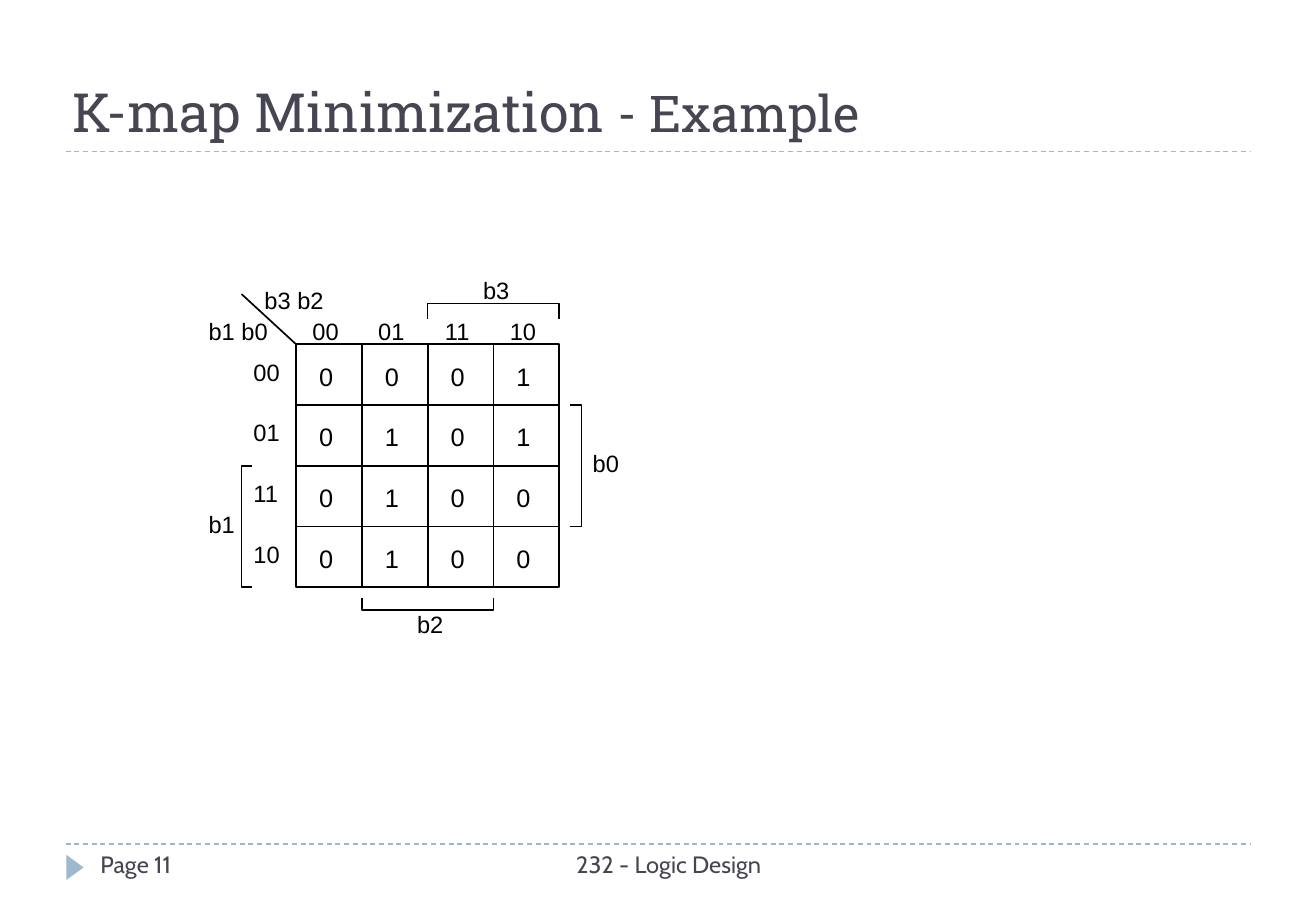
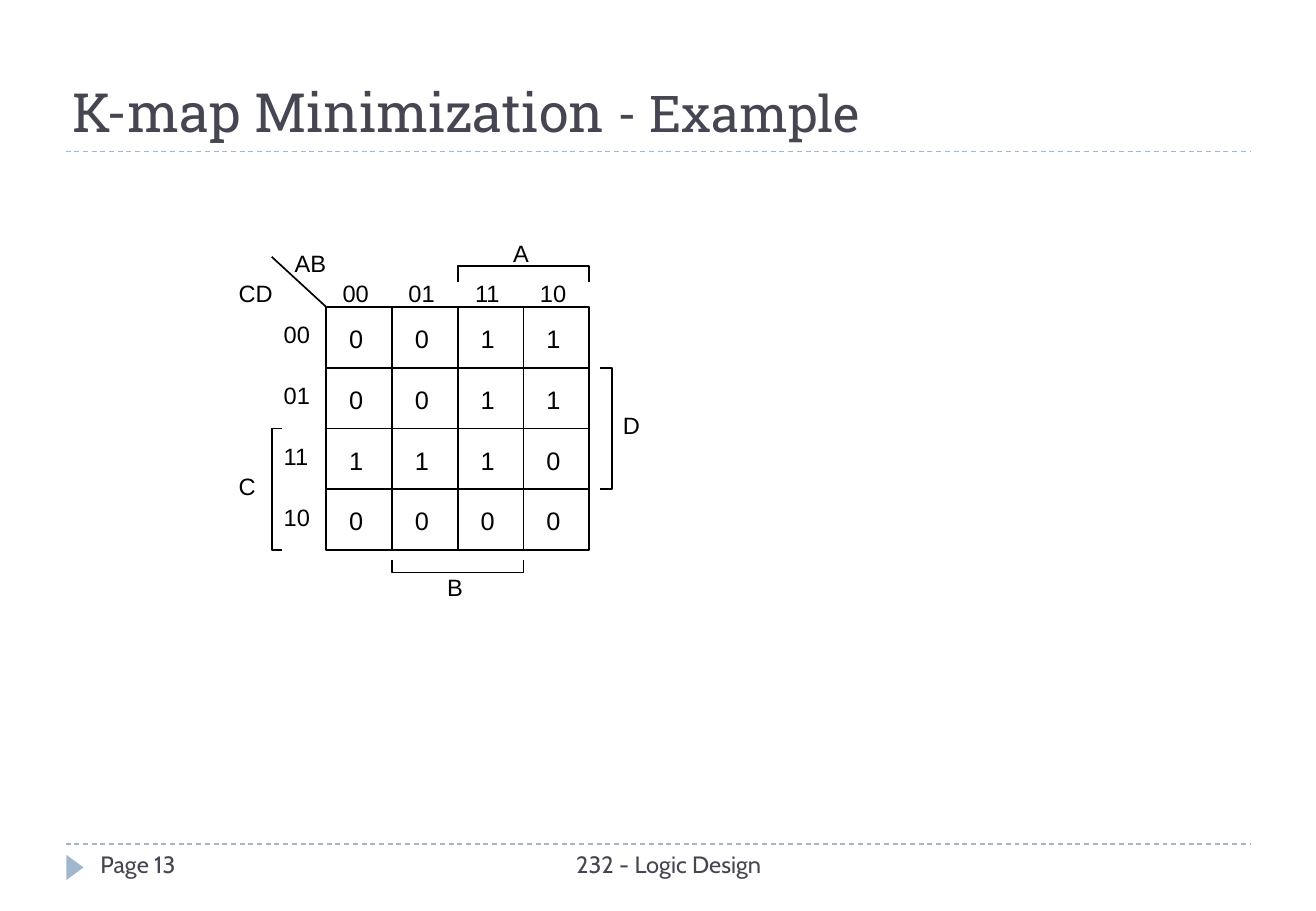
from dataclasses import dataclass
from lxml import etree
from pptx import Presentation
from pptx import util as u
from pptx.dml.color import RGBColor
from pptx.enum import dml, shapes, text
from pptx.oxml.ns import qn


@dataclass(frozen=True)
class Theme:
    ink: str = "000000"
    heading: str = "464653"
    accent: str = "9FB8CD"
    title_font: str = "Roboto Slab"
    footer_font: str = "Cabin"
    map_font: str = "Arial"
    title_size: float = 32
    subtitle_size: float = 30
    label_size: float = 14
    value_size: float = 15
    map_line: float = 1
    rule_line: float = 0.75


@dataclass(frozen=True)
class KMap:
    page_number: int
    left: float
    top: float
    column_variables: str
    row_variables: str
    corner_widths: tuple
    top_name: str
    left_name: str
    bottom_name: str
    right_name: str
    name_width: float
    rows: tuple


THEME = Theme()
PAGE_WIDTH, PAGE_HEIGHT = 27.51, 19.05
RULE_LEFT, RULE_RIGHT = 1.37, 26.14
COUNT = 4
CELL_WIDTH, CELL_HEIGHT = 1.375, 1.27
GRID_WIDTH, GRID_HEIGHT = COUNT * CELL_WIDTH, COUNT * CELL_HEIGHT
LABEL_HEIGHT, VALUE_HEIGHT = 0.81, 0.92
BRACKET_GAP, BRACKET_DEPTH = 0.22, 0.25
CODES = ("00", "01", "11", "10")
CENTER = text.PP_ALIGN.CENTER

MAPS = (
    KMap(11, 6.19, 7.2, "b3 b2", "b1 b0", (1.78, 1.78),
         "b3", "b1", "b2", "b0", 1.09, ("0001", "0101", "0100", "0100")),
    KMap(13, 6.82, 6.42, "AB", "CD", (1.2, 1.25),
         "A", "C", "B", "D", 0.87, ("0011", "0011", "1110", "0000")),
)


def lengths(*values):
    return [u.Cm(value) for value in values]


def color(code):
    return RGBColor.from_string(code)


def style_line(line, code, width):
    line.color.rgb = color(code)
    line.width = u.Pt(width)


def add_text(page, box, spans, font, code, align=None, spacing=None, anchor=None):
    shape = page.shapes.add_textbox(*lengths(*box))
    frame = shape.text_frame
    frame.word_wrap = True
    frame.vertical_anchor = anchor
    para = frame.paragraphs[0]
    para.alignment = align
    para.line_spacing = spacing
    for words, size in spans:
        span = para.add_run()
        span.text = words
        span.font.name = font
        span.font.size = u.Pt(size)
        span.font.color.rgb = color(code)


def add_line(page, start, end, code=THEME.ink, width=THEME.map_line):
    line = page.shapes.add_connector(
        shapes.MSO_CONNECTOR.STRAIGHT, *lengths(*start, *end))
    style_line(line.line, code, width)
    etree.SubElement(line._element.spPr, qn("a:effectLst"))
    return line


def add_bracket(page, points):
    start, *others = [tuple(lengths(*point)) for point in points]
    builder = page.shapes.build_freeform(*start)
    builder.add_line_segments(others, close=False)
    bracket = builder.convert_to_shape()
    bracket.shadow.inherit = False
    bracket.fill.background()
    style_line(bracket.line, THEME.ink, THEME.map_line)


def add_label(page, box, words, align=None):
    add_text(page, box, [(words, THEME.label_size)], THEME.map_font,
             THEME.ink, align, spacing=0.9)


def draw_frame(page, number):
    for y in (3.17, 17.65):
        rule = add_line(page, (RULE_LEFT, y), (RULE_RIGHT, y),
                        THEME.accent, THEME.rule_line)
        rule.line.dash_style = dml.MSO_LINE.DASH
    marker = page.shapes.add_shape(
        shapes.MSO_SHAPE.ISOSCELES_TRIANGLE, *lengths(1.3, 17.96, 0.53, 0.36))
    marker.rotation = 90
    marker.shadow.inherit = False
    marker.fill.solid()
    marker.fill.fore_color.rgb = color(THEME.accent)
    marker.line.fill.background()
    for words, left, width, align in (
            ("232 - Logic Design", 8.71, 10.54, CENTER),
            (f"Page {number}", 1.85, 5.97, None)):
        add_text(page, (left, 17.65, width, 1.02), [(words, THEME.label_size)],
                 THEME.footer_font, THEME.heading, align)
    add_text(page, (1.27, 0.64, 24.43, 2.49),
             [("K-map Minimization", THEME.title_size),
              (" - Example", THEME.subtitle_size)],
             THEME.title_font, THEME.heading, anchor=text.MSO_ANCHOR.BOTTOM)


def draw_grid(page, left, top, rows):
    grid = page.shapes.add_shape(
        shapes.MSO_SHAPE.RECTANGLE, *lengths(left, top, GRID_WIDTH, GRID_HEIGHT))
    grid.shadow.inherit = False
    grid.fill.background()
    style_line(grid.line, THEME.ink, THEME.map_line)
    for index in range(1, COUNT):
        x, y = left + index * CELL_WIDTH, top + index * CELL_HEIGHT
        across = add_line(page, (left, y), (left + GRID_WIDTH, y))
        down = add_line(page, (x, top), (x, top + GRID_HEIGHT))
        if index * 2 == COUNT:
            across.begin_connect(grid, 1)
            across.end_connect(grid, 3)
            down.begin_connect(grid, 0)
            down.end_connect(grid, 2)
    for row, values in enumerate(rows):
        for column, value in enumerate(values):
            box = (left + column * CELL_WIDTH + 0.23,
                   top + row * CELL_HEIGHT + 0.22, 0.84, VALUE_HEIGHT)
            add_text(page, box, [(value, THEME.value_size)],
                     THEME.map_font, THEME.ink)


def draw_headers(page, left, top, kmap):
    add_line(page, (left, top), (left - 1.14, top - 1.05))
    column_width, row_width = kmap.corner_widths
    add_label(page, (left - 0.91, top - 1.27, column_width, LABEL_HEIGHT),
              kmap.column_variables)
    add_label(page, (left - 2.08, top - 0.64, row_width, LABEL_HEIGHT),
              kmap.row_variables)
    for index, code in enumerate(CODES):
        add_label(page, (left + index * CELL_WIDTH - 0.07, top - 0.64,
                         CELL_WIDTH, LABEL_HEIGHT), code, CENTER)
        add_label(page, (left - 1.14, top + index * CELL_HEIGHT + 0.22,
                         1.1, LABEL_HEIGHT), code)


def draw_brackets(page, left, top, kmap):
    columns = [left + index * CELL_WIDTH for index in range(COUNT + 1)]
    rows = [top + index * CELL_HEIGHT for index in range(COUNT + 1)]
    for first, last, near, far in (
            (2, 4, top - 0.53, top - 0.85),
            (1, 3, rows[4] + BRACKET_GAP, rows[4] + BRACKET_GAP + BRACKET_DEPTH)):
        start, end = columns[first], columns[last]
        add_bracket(page, ((start, near), (start, far), (end, far), (end, near)))
    for first, last, near, far in (
            (2, 4, left - 0.92, left - 1.14),
            (1, 3, columns[4] + BRACKET_GAP, columns[4] + BRACKET_GAP + BRACKET_DEPTH)):
        start, end = rows[first], rows[last]
        add_bracket(page, ((near, start), (far, start), (far, end), (near, end)))
    for words, x, y, width in (
            (kmap.top_name, 3.66, -1.48, kmap.name_width),
            (kmap.left_name, -2.08, 3.4, 1.37),
            (kmap.bottom_name, 2.28, 5.5, kmap.name_width),
            (kmap.right_name, 5.95, 2.12, 1.14)):
        add_label(page, (left + x, top + y, width, LABEL_HEIGHT), words)


def add_map_page(deck, kmap):
    page = deck.slides.add_slide(deck.slide_layouts[6])
    draw_frame(page, kmap.page_number)
    draw_grid(page, kmap.left, kmap.top, kmap.rows)
    draw_headers(page, kmap.left, kmap.top, kmap)
    draw_brackets(page, kmap.left, kmap.top, kmap)


def main():
    deck = Presentation()
    deck.slide_width, deck.slide_height = lengths(PAGE_WIDTH, PAGE_HEIGHT)
    for kmap in MAPS:
        add_map_page(deck, kmap)
    deck.save("out.pptx")


if __name__ == "__main__":
    main()
